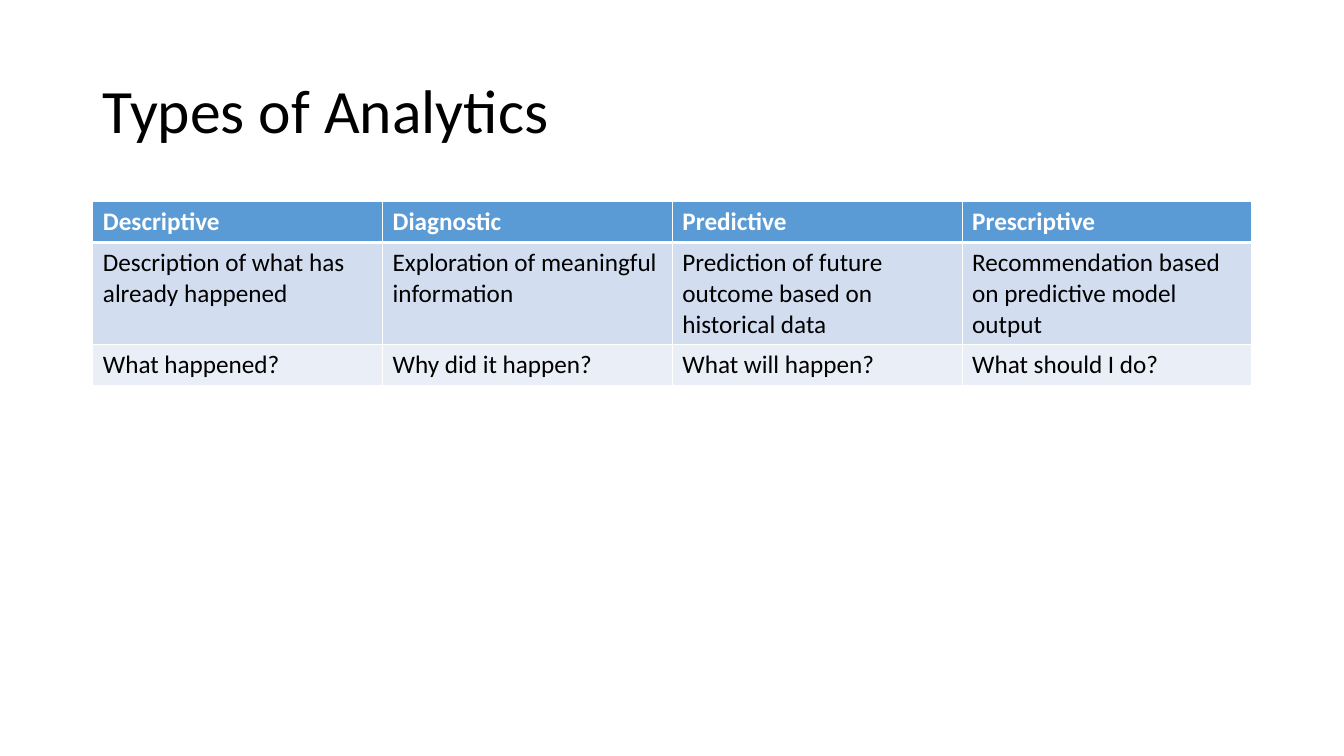
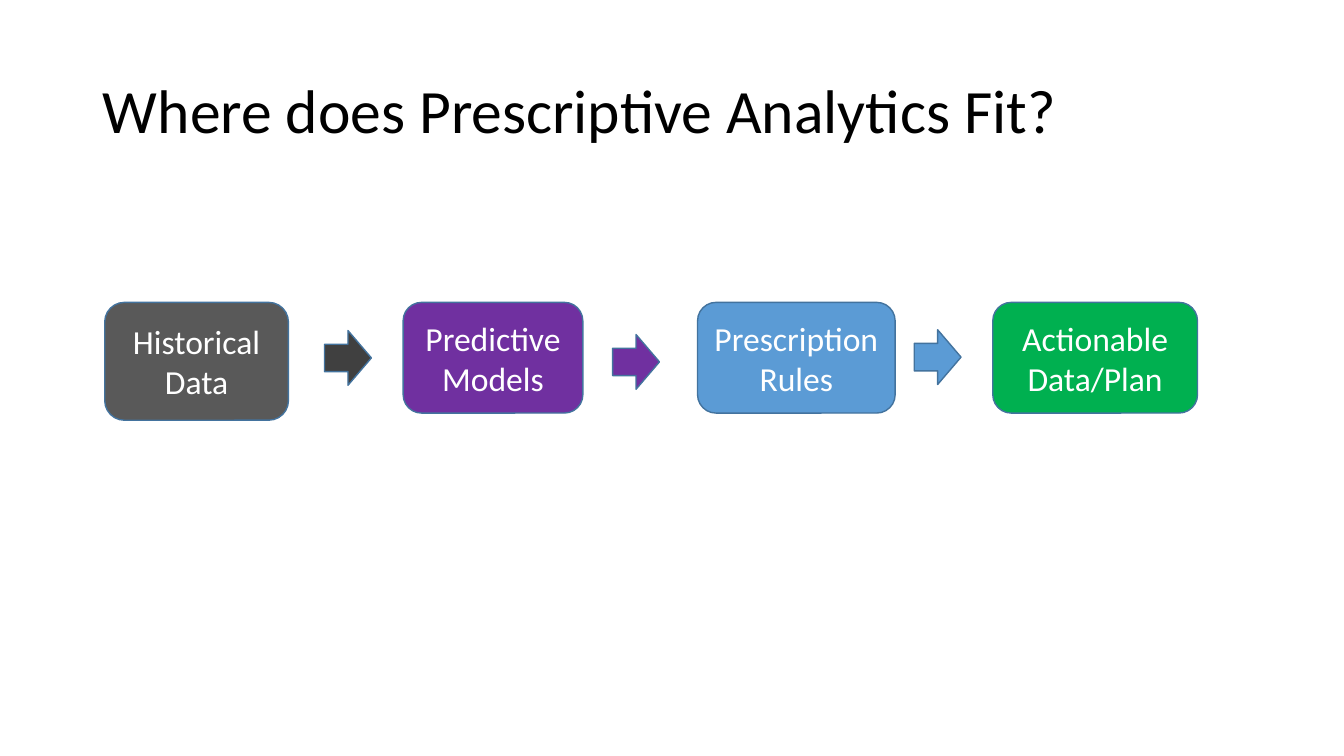
from lxml import etree
from pptx import Presentation
from pptx.dml.color import RGBColor
from pptx.enum.shapes import MSO_SHAPE
from pptx.enum.text import MSO_ANCHOR, MSO_AUTO_SIZE, PP_ALIGN
from pptx.oxml.ns import qn
from pptx.util import Cm, Pt

# Shared style
FONT = "Calibri"
BLACK, WHITE = "000000", "FFFFFF"
BLUE, PURPLE, GREEN = "5B9BD5", "7030A0", "00B050"
GREY, DARK_GREY, OUTLINE = "595959", "404040", "43739E"
ROW_FILLS = [BLUE, "D2DEEF", "EAEFF7"]
TITLE_BOX = (2.34, 1.02, 29.21, 3.68)


def color(hex_code):
    return RGBColor.from_string(hex_code)


def box_cm(box):
    return [Cm(length) for length in box]


def write(frame, text, size, ink, bold=False, align=PP_ALIGN.LEFT):
    """Put one styled paragraph in a text frame."""
    paragraph = frame.paragraphs[0]
    paragraph.alignment = align
    run = paragraph.add_run()
    run.text = text
    font = run.font
    font.name, font.size, font.bold = FONT, Pt(size), bold
    font.color.rgb = color(ink)
    return paragraph


def titled_slide(prs, text):
    slide = prs.slides.add_slide(prs.slide_layouts[5])
    title = slide.shapes.title
    title.left, title.top, title.width, title.height = box_cm(TITLE_BOX)
    frame = title.text_frame
    frame.auto_size = MSO_AUTO_SIZE.NONE
    frame.word_wrap = True
    frame.vertical_anchor = MSO_ANCHOR.MIDDLE
    write(frame, text, 44, BLACK).line_spacing = 0.9
    return slide


def cell_border(cell, side, points):
    properties = cell._tc.get_or_add_tcPr()
    line = etree.SubElement(properties, qn(f"a:{side}"), w=str(Pt(points)))
    fill = etree.SubElement(line, qn("a:solidFill"))
    etree.SubElement(fill, qn("a:srgbClr"), val=WHITE)


def analytics_table(slide, box, rows, row_heights):
    table = slide.shapes.add_table(len(rows), len(rows[0]), *box_cm(box)).table
    for column in table.columns:
        column.width = Cm(box[2] / len(rows[0]))
    for r, texts in enumerate(rows):
        table.rows[r].height = Cm(row_heights[r])
        header = r == 0
        for c, text in enumerate(texts):
            cell = table.cell(r, c)
            # The line under the header is thicker than the rest
            widths = {"lnL": 1, "lnR": 1, "lnT": 3 if r == 1 else 1,
                      "lnB": 3 if header else 1}
            for side, points in widths.items():
                cell_border(cell, side, points)
            cell.fill.solid()
            cell.fill.fore_color.rgb = color(ROW_FILLS[r])
            write(cell.text_frame, text, 18, WHITE if header else BLACK, header)


def outlined_shape(slide, kind, box, fill):
    shape = slide.shapes.add_shape(kind, *box_cm(box))
    shape.shadow.inherit = False
    shape.fill.solid()
    shape.fill.fore_color.rgb = color(fill)
    shape.line.color.rgb = color(OUTLINE)
    shape.line.width = Pt(1)
    return shape


def process_flow(slide, box, steps, arrows):
    """Place steps and arrows at offsets from the top left of the box."""
    left, top, _, height = box
    for text, x, width, extra_height, fill in steps:
        step = outlined_shape(slide, MSO_SHAPE.ROUNDED_RECTANGLE,
                              (left + x, top, width, height + extra_height), fill)
        frame = step.text_frame
        frame.word_wrap = True
        frame.vertical_anchor = MSO_ANCHOR.MIDDLE
        write(frame, text, 24, WHITE, align=PP_ALIGN.CENTER)
    for x, y, fill in arrows:
        outlined_shape(slide, MSO_SHAPE.RIGHT_ARROW,
                       (left + x, top + y, 1.18, 1.38), fill)


prs = Presentation()
prs.slide_width, prs.slide_height = Cm(33.87), Cm(19.05)

# Slide 1: table of types
types_slide = titled_slide(prs, "Types of Analytics")
analytics_table(types_slide, (2.34, 5.08, 29.21, 4.6), [
    ["Descriptive", "Diagnostic", "Predictive", "Prescriptive"],
    ["Description of what has already happened",
     "Exploration of meaningful information",
     "Prediction of future outcome based on historical data",
     "Recommendation based on predictive model output"],
    ["What happened?", "Why did it happen?",
     "What will happen?", "What should I do?"],
], [1.03, 2.58, 1.03])

# Slide 2: process from data to plan
fit_slide = titled_slide(prs, "Where does Prescriptive Analytics Fit?")
process_flow(fit_slide, (2.64, 7.62, 27.54, 2.79), [
    # text, x, width, extra height, fill
    ("Historical Data", 0, 4.63, 0.18, GREY),
    ("Predictive Models", 7.52, 4.53, 0, PURPLE),
    ("Prescription Rules", 14.94, 4.98, 0, BLUE),
    ("Actionable Data/Plan", 22.38, 5.16, 0, GREEN),
], [
    # x, y, fill
    (5.54, 0.71, DARK_GREY),
    (12.8, 0.81, PURPLE),
    (20.4, 0.69, BLUE),
])

prs.save("out.pptx")
